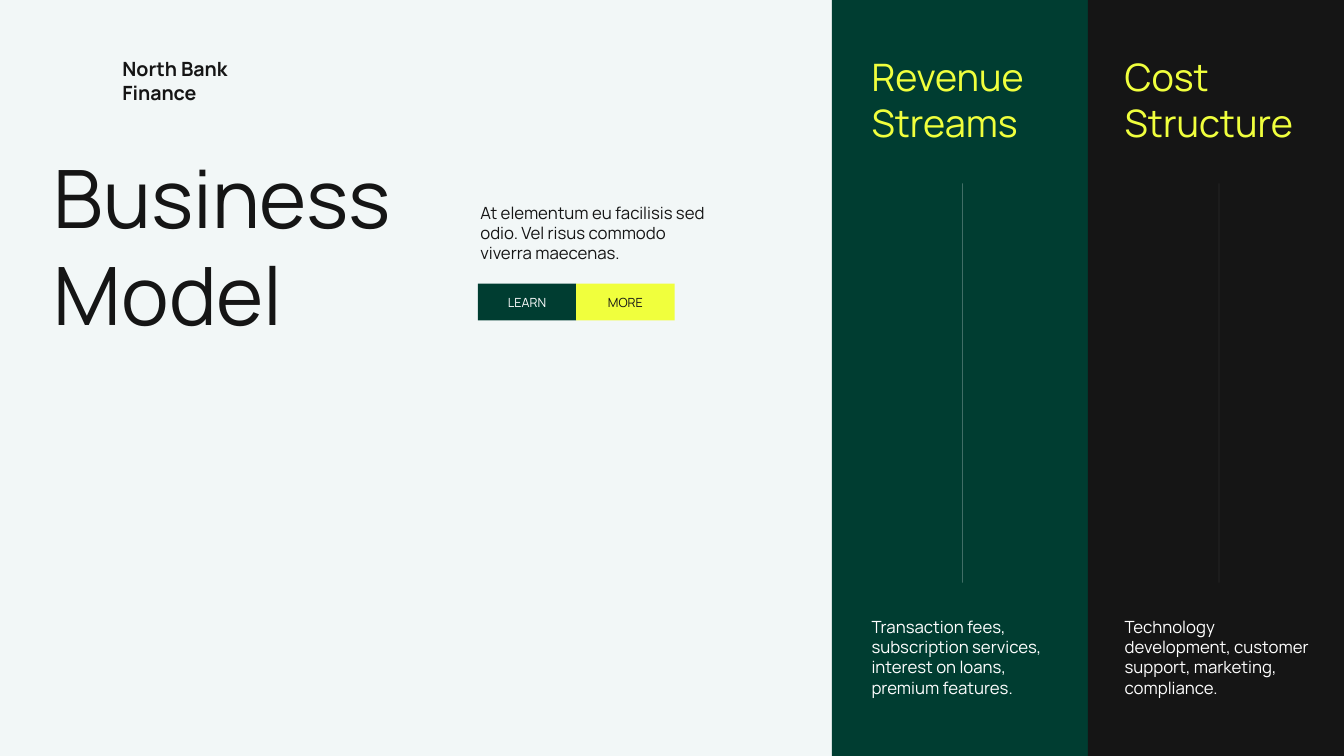
from lxml import etree
from pptx import Presentation
from pptx.dml.color import RGBColor
from pptx.enum import shapes, text
from pptx.oxml import ns
from pptx.util import Inches, Pt

COLORS = {
    "paper": "F2F7F7",
    "ink": "151515",
    "green": "003D31",
    "lime": "F0FF3D",
    "white": "FFFFFF",
}
FONT = "Manrope"
SLIDE_W, SLIDE_H = 26.66, 15
PANEL_W = 5.08
BUTTON_W, BUTTON_H = 1.95, 0.73

# panel left, fill, text left, rule x, rule opacity in percent, heading, details
PANELS = [
    (16.5, "green", 17.19, 19.09, 40, "Revenue Streams",
     "Transaction fees, subscription services, interest on loans, premium features."),
    (21.58, "ink", 22.21, 24.18, 24, "Cost Structure",
     "Technology development, customer support, marketing, compliance."),
]
BUTTONS = [("LEARN", "green", "white"), ("MORE", "lime", "ink")]


def rgb(color):
    return RGBColor.from_string(COLORS[color])


def write(frame, content, size=24, color="ink", bold=False, align=None):
    """Fill a text frame, one paragraph for each line of content."""
    frame.word_wrap = True
    for index, line in enumerate(content.split("\n")):
        paragraph = frame.paragraphs[0] if index == 0 else frame.add_paragraph()
        paragraph.alignment = align
        run = paragraph.add_run()
        run.text = line
        run.font.name = FONT
        run.font.size = Pt(size)
        run.font.bold = bold
        run.font.color.rgb = rgb(color)


def add_text(slide, content, left, top, width, height, **style):
    box = slide.shapes.add_textbox(
        Inches(left), Inches(top), Inches(width), Inches(height))
    write(box.text_frame, content, **style)
    box.text_frame.auto_size = text.MSO_AUTO_SIZE.SHAPE_TO_FIT_TEXT


def add_block(slide, left, top, width, height, fill):
    block = slide.shapes.add_shape(
        shapes.MSO_SHAPE.RECTANGLE,
        Inches(left), Inches(top), Inches(width), Inches(height))
    block.shadow.inherit = False
    block.fill.solid()
    block.fill.fore_color.rgb = rgb(fill)
    block.line.fill.background()
    return block


def add_button(slide, label, left, top, fill, color):
    button = add_block(slide, left, top, BUTTON_W, BUTTON_H, fill)
    button.text_frame.vertical_anchor = text.MSO_ANCHOR.MIDDLE
    write(button.text_frame, label, size=18, color=color,
          align=text.PP_ALIGN.CENTER)


def add_rule(slide, x, top, bottom, opacity):
    """Draw a thin, partly transparent vertical line."""
    rule = slide.shapes.add_connector(
        shapes.MSO_CONNECTOR.STRAIGHT,
        Inches(x), Inches(top), Inches(x), Inches(bottom))
    rule.line.width = Pt(0.5)
    rule.line.color.rgb = rgb("white")
    properties = rule._element.spPr
    color = properties.find(".//" + ns.qn("a:srgbClr"))
    etree.SubElement(color, ns.qn("a:alpha"), val=str(opacity * 1000))
    etree.SubElement(properties, ns.qn("a:effectLst"))


def add_panel(slide, left, fill, text_left, rule_x, opacity, heading, details):
    add_block(slide, left, 0, PANEL_W, SLIDE_H, fill)
    add_text(slide, heading, text_left, 1.02, 4.03, 1.92, size=54, color="lime")
    add_rule(slide, rule_x, 3.64, 11.56, opacity)
    add_text(slide, details, text_left, 12.19, 4.03, 1.72, color="white")


def main():
    deck = Presentation()
    deck.slide_width, deck.slide_height = Inches(SLIDE_W), Inches(SLIDE_H)
    slide = deck.slides.add_slide(deck.slide_layouts[6])
    slide.background.fill.solid()
    slide.background.fill.fore_color.rgb = rgb("paper")

    for panel in PANELS:
        add_panel(slide, *panel)
    add_text(slide, "North Bank\nFinance", 2.33, 1.08, 3.07, 1.04,
             size=28, bold=True)
    add_text(slide, "Business Model", 0.97, 2.89, 9.48, 3.97, size=115)
    add_text(slide, "At elementum eu facilisis sed odio. "
             "Vel risus commodo viverra maecenas.", 9.43, 3.97, 4.9, 1.31)
    for index, (label, fill, color) in enumerate(BUTTONS):
        add_button(slide, label, 9.48 + index * BUTTON_W, 5.63, fill, color)

    deck.save("out.pptx")


if __name__ == "__main__":
    main()
